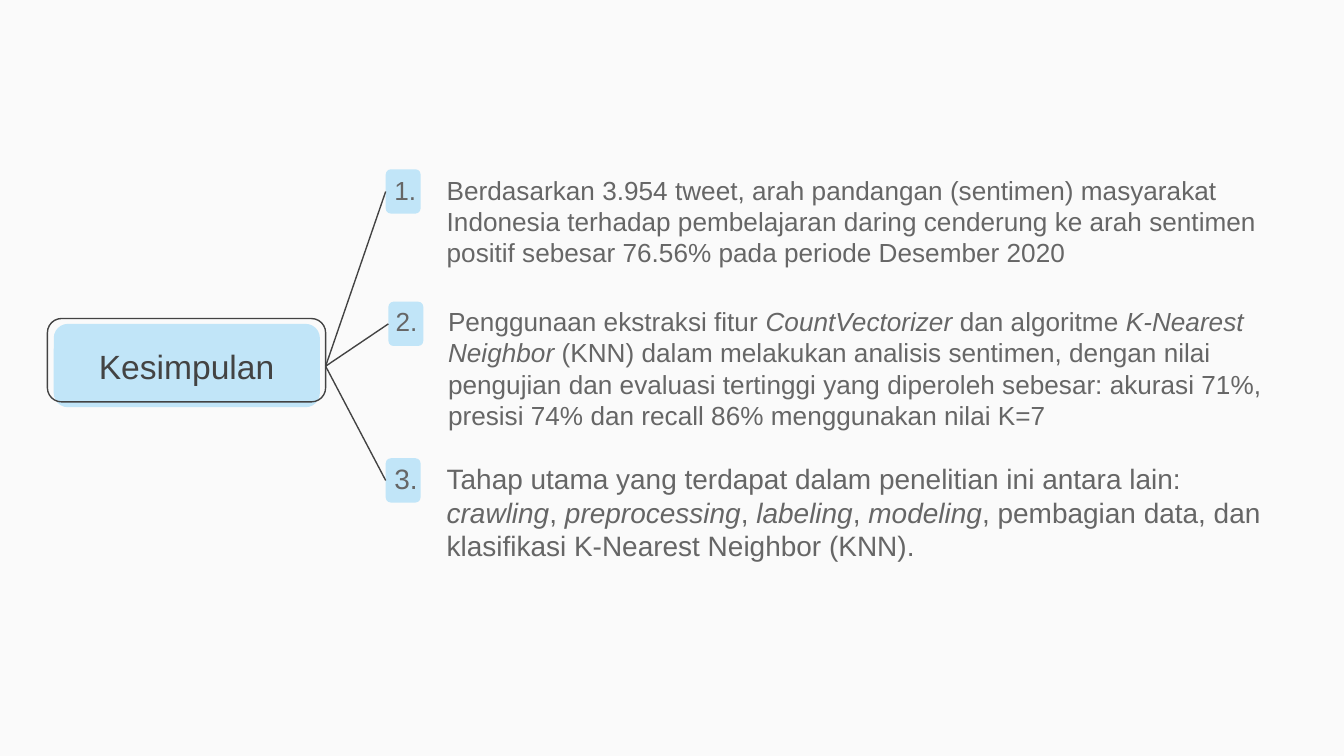
from dataclasses import dataclass

from lxml import etree
from pptx import Presentation
from pptx.dml.color import RGBColor
from pptx.enum.shapes import MSO_CONNECTOR, MSO_SHAPE
from pptx.enum.text import MSO_ANCHOR, MSO_AUTO_SIZE, PP_ALIGN
from pptx.oxml.ns import qn
from pptx.util import Inches, Pt

ROUNDED = MSO_SHAPE.ROUNDED_RECTANGLE
STRAIGHT = MSO_CONNECTOR.STRAIGHT
TOP, MIDDLE = MSO_ANCHOR.TOP, MSO_ANCHOR.MIDDLE
FIXED = MSO_AUTO_SIZE.NONE
CENTER, LEFT_ALIGNED = PP_ALIGN.CENTER, PP_ALIGN.LEFT
LEFT_SIDE, RIGHT_SIDE = 1, 3
TITLE_ONLY = 5
COLUMNS = 100  # square grid cells across the slide width


@dataclass(frozen=True)
class Theme:
    background: RGBColor = RGBColor.from_string("FAFAFA")
    accent: RGBColor = RGBColor.from_string("C1E5F8")
    ink: RGBColor = RGBColor.from_string("434343")
    body: RGBColor = RGBColor.from_string("666666")
    font: str = "Arial"
    title_size: float = 18
    line_width: float = 0.75


class ConclusionSlide:
    def __init__(self, deck, theme):
        self.theme = theme
        self.cell = deck.slide_width / COLUMNS
        self.slide = deck.slides.add_slide(deck.slide_layouts[TITLE_ONLY])
        self.shapes = self.slide.shapes
        fill = self.slide.background.fill
        fill.solid()
        fill.fore_color.rgb = theme.background

    def place(self, *cells):
        return [round(count * self.cell) for count in cells]

    def style_run(self, run, size, color, italic=False):
        font = run.font
        font.name, font.size, font.italic = self.theme.font, Pt(size), italic
        font.color.rgb = color

    def set_frame(self, frame, anchor, insets):
        frame.word_wrap = True
        frame.auto_size = FIXED
        frame.vertical_anchor = anchor
        (frame.margin_left, frame.margin_top,
         frame.margin_right, frame.margin_bottom) = self.place(*insets)

    def rounded_box(self, cells, corner, filled):
        box = self.shapes.add_shape(ROUNDED, *self.place(*cells))
        box.shadow.inherit = False
        box.adjustments[0] = corner
        if filled:
            box.fill.solid()
            box.fill.fore_color.rgb = self.theme.accent
            box.line.fill.background()
        else:
            box.fill.background()
            box.line.color.rgb = self.theme.ink
            box.line.width = Pt(self.theme.line_width)
        return box

    def title(self, text, cells):
        heading = self.shapes.title
        heading.left, heading.top, heading.width, heading.height = self.place(*cells)
        frame = heading.text_frame
        frame.text = text
        self.set_frame(frame, MIDDLE, (1, 1, 1, 1))
        frame.paragraphs[0].alignment = CENTER
        self.style_run(frame.paragraphs[0].runs[0],
                       self.theme.title_size, self.theme.ink)
        self.shapes.element.append(heading.element)  # in front of its panel
        return heading

    def branch(self, start, end):
        line = self.shapes.add_connector(STRAIGHT, 0, 0, 0, 0)
        line.begin_connect(start, RIGHT_SIDE)
        line.end_connect(end, LEFT_SIDE)
        line.line.color.rgb = self.theme.ink
        line.line.width = Pt(self.theme.line_width)
        etree.SubElement(line.element.spPr, qn("a:effectLst"))

    def point(self, number, phrases, cells, size, anchor, insets):
        """Add a numbered point; every second phrase is italic."""
        frame = self.shapes.add_textbox(*self.place(*cells)).text_frame
        self.set_frame(frame, anchor, insets)
        paragraph = frame.paragraphs[0]
        paragraph.alignment = LEFT_ALIGNED
        indent = Inches(0.39)
        properties = paragraph._p.get_or_add_pPr()
        properties.set("marL", str(indent))
        properties.set("indent", str(-indent))
        for index, phrase in enumerate(phrases):
            run = paragraph.add_run()
            run.text = phrase if index else f"{number}.\t{phrase}"
            self.style_run(run, size, self.theme.body, italic=index % 2 == 1)


PLAIN_INSETS = (1, 0.5, 1, 0.5)
BADGE_WIDTH, BADGE_HEIGHT = 2.6, 3.3

# badge left and top, text box, type size, anchor, insets, phrases
POINTS = [
    ((28.7, 12.6), (28.35, 12.45, 66.9, 8.1), 14, TOP, PLAIN_INSETS, [
        "Berdasarkan 3.954 tweet, arah pandangan (sentimen) masyarakat "
        "Indonesia terhadap pembelajaran daring cenderung ke arah sentimen "
        "positif sebesar 76.56% pada periode Desember 2020"]),
    ((28.9, 22.45), (28.45, 22.23, 66.8, 10.4), 14, TOP, PLAIN_INSETS, [
        "Penggunaan ekstraksi fitur ", "CountVectorizer", " dan algoritme ",
        "K-Nearest Neighbor ",
        "(KNN) dalam melakukan analisis sentimen, dengan nilai pengujian dan "
        "evaluasi tertinggi yang diperoleh sebesar: akurasi 71%, presisi 74% "
        "dan recall 86% menggunakan nilai K=7"]),
    ((28.7, 34.1), (28.35, 30.65, 66.9, 12.3), 15, MIDDLE, (1, 2.6, 1, 0), [
        "Tahap utama yang terdapat dalam penelitian ini antara lain: ",
        "crawling", ", ", "preprocessing", ", ", "labeling", ", ", "modeling",
        ", pembagian data, dan klasifikasi K-Nearest Neighbor (KNN)."]),
]


def main():
    deck = Presentation()
    deck.slide_width = Inches(10)
    deck.slide_height = deck.slide_width * 9 // 16
    page = ConclusionSlide(deck, Theme())

    badges = [page.rounded_box((*corner, BADGE_WIDTH, BADGE_HEIGHT), 0.15, True)
              for corner, *_ in POINTS]
    page.rounded_box((4, 24.1, 19.8, 6.2), 0.17, True)
    page.rounded_box((3.53, 23.7, 20.7, 6.2), 0.17, False)
    heading = page.title("Kesimpulan", (3.53, 24.45, 20.7, 5.6))

    for number, (badge, details) in enumerate(zip(badges, POINTS), start=1):
        _, cells, size, anchor, insets, phrases = details
        page.branch(heading, badge)
        page.point(number, phrases, cells, size, anchor, insets)

    deck.save("out.pptx")


if __name__ == "__main__":
    main()
